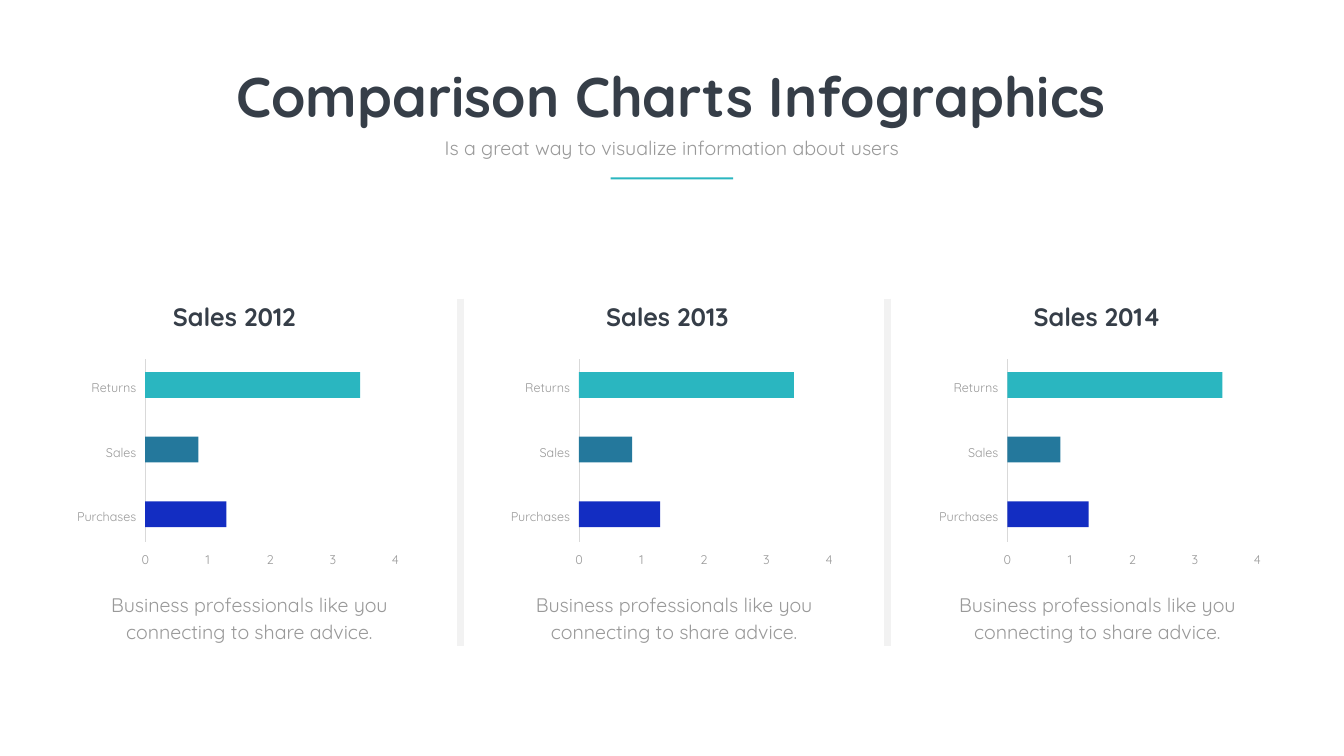
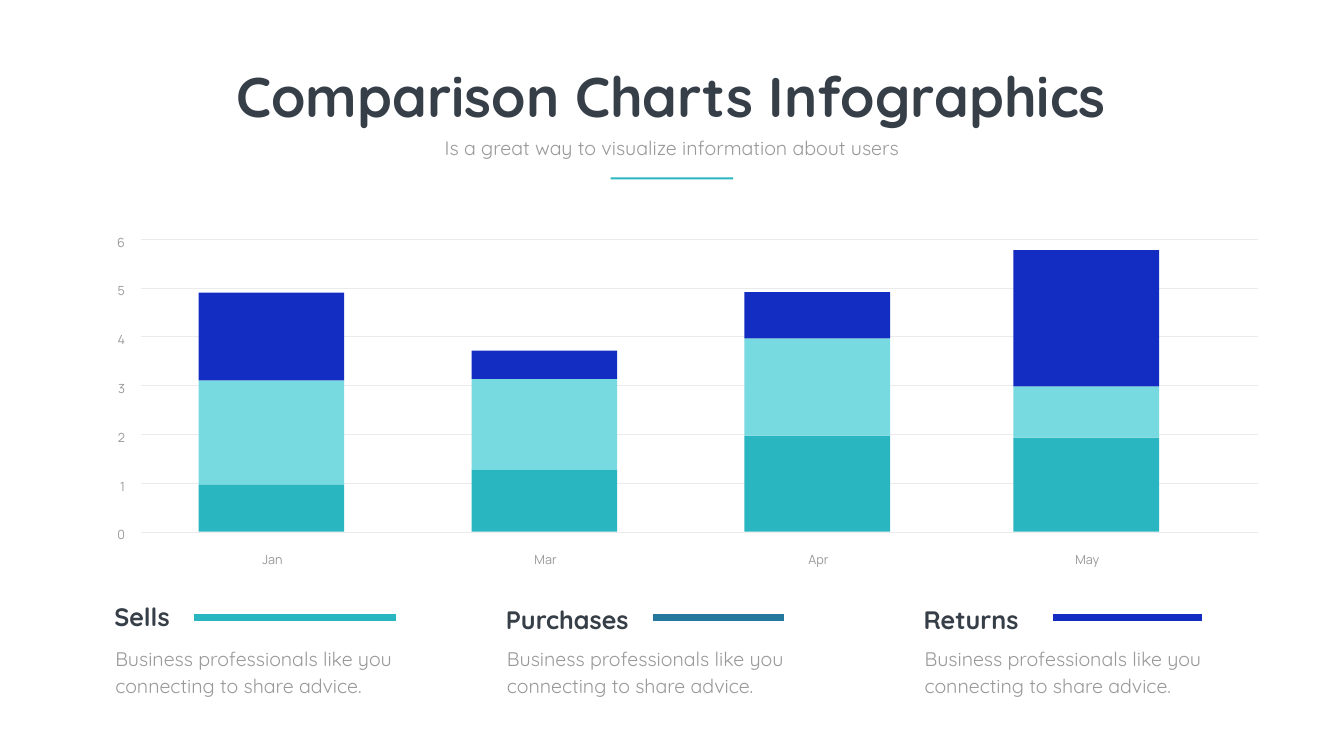
"""Build two comparison chart slides: yearly sales bars and monthly stacked columns."""
from itertools import accumulate

from lxml import etree
from pptx import Presentation
from pptx import util as u
from pptx.dml.color import RGBColor
from pptx.enum import shapes, text
from pptx.oxml import ns


class Theme:
    ink = "363E48"
    grey = "999999"
    teal = "2AB6C0"
    aqua = "77DAE1"
    steel = "24789C"
    blue = "132DC2"
    divider = "F2F2F2"
    axis = "D9D9D9"
    grid = "EBEBEB"
    font = "Quicksand"
    number_font = "Manrope"
    title_size = 80
    heading_size = 36
    body_size = 28
    label_size = 18
    body_spacing = 38.6
    number_spacing = 35.6


LEFT, CENTER, RIGHT = text.PP_ALIGN.LEFT, text.PP_ALIGN.CENTER, text.PP_ALIGN.RIGHT
BODY = "Business professionals like you connecting to share advice."


def add_text(slide, words, left, top, width, height, *, size=Theme.label_size,
             color=Theme.grey, font=Theme.font, bold=False, align=LEFT,
             spacing=None, wrap=True):
    shape = slide.shapes.add_textbox(u.Cm(left), u.Cm(top), u.Cm(width), u.Cm(height))
    frame = shape.text_frame
    frame.word_wrap = wrap
    frame.auto_size = text.MSO_AUTO_SIZE.SHAPE_TO_FIT_TEXT
    paragraph = frame.paragraphs[0]
    paragraph.alignment = align
    if spacing:
        paragraph.line_spacing = u.Pt(spacing)
    run = paragraph.add_run()
    run.text = words
    run.font.name = font
    run.font.size = u.Pt(size)
    run.font.bold = bold
    run.font.color.rgb = RGBColor.from_string(color)


def add_line(slide, x1, y1, x2, y2, color, width):
    line = slide.shapes.add_connector(
        shapes.MSO_CONNECTOR.STRAIGHT, u.Cm(x1), u.Cm(y1), u.Cm(x2), u.Cm(y2))
    line.line.color.rgb = RGBColor.from_string(color)
    line.line.width = u.Pt(width)
    etree.SubElement(line._element.spPr, ns.qn("a:effectLst"))


presentation = Presentation()
presentation.slide_width, presentation.slide_height = u.Cm(67.74), u.Cm(38.1)
blank = presentation.slide_layouts[6]
yearly = presentation.slides.add_slide(blank)
monthly = presentation.slides.add_slide(blank)
rectangles = []

for slide in (yearly, monthly):
    add_text(slide, "Comparison Charts Infographics", 11.35, 2.97, 44.98, 3.68,
             size=Theme.title_size, color=Theme.ink, bold=True, align=CENTER, wrap=False)
    add_text(slide, "Is a great way to visualize information about users",
             21.72, 6.73, 24.28, 1.45, size=Theme.body_size, align=CENTER)
    rectangles.append((slide, 30.78, 8.94, 6.17, 0.1, Theme.teal))

years = [("Sales 2012", 6.07, 4.55, 7.32),
         ("Sales 2013", 27.89, 25.96, 29.18),
         ("Sales 2014", 49.56, 47.29, 50.77)]
measures = [("Returns", 3.44, Theme.teal),
            ("Sales", 0.85, Theme.steel),
            ("Purchases", 1.3, Theme.blue)]
bar_unit, bar_top, bar_step = 3.15, 18.75, 3.26

for x in (23.22, 44.73):
    add_line(yearly, x, 15.06, x, 32.54, Theme.divider, 10)

for heading, heading_left, body_left, axis in years:
    add_text(yearly, heading, heading_left, 15.06, 11.48, 1.8,
             size=Theme.heading_size, color=Theme.ink, bold=True, align=CENTER)
    add_text(yearly, BODY, body_left, 29.57, 16.03, 3, size=Theme.body_size,
             align=CENTER, spacing=Theme.body_spacing)
    add_line(yearly, axis, 18.11, axis, 27.33, Theme.axis, 1)
    for tick in range(5):
        add_text(yearly, str(tick), axis - 0.53 + tick * bar_unit, 27.69, 1.07, 0.66,
                 align=CENTER)
    for row, (name, value, color) in enumerate(measures):
        top = bar_top + row * bar_step
        add_text(yearly, name, axis - 4.06, top + 0.27, 3.86, 1.02, align=RIGHT)
        rectangles.append((yearly, axis, top, value * bar_unit, 1.3, color))

base, column_unit, column_width = 26.8, 2.46, 7.34
number_format = dict(font=Theme.number_font, spacing=Theme.number_spacing)

for tick in range(7):
    y = base - tick * column_unit
    add_line(monthly, 7.09, y, 63.4, y, Theme.grid, 0.5)
    add_text(monthly, str(tick), 3.71, y - 0.84, 2.84, 1.42, align=RIGHT, **number_format)

months = [("Jan", 10.01, (0.97, 2.13, 1.8)),
          ("Mar", 23.77, (1.27, 1.86, 0.58)),
          ("Apr", 37.52, (1.97, 1.99, 0.95)),
          ("May", 51.08, (1.93, 1.05, 2.79))]
for month, left, values in months:
    add_text(monthly, month, left + 0.4, 27.18, 6.65, 1.42, align=CENTER, **number_format)
    for value, total, color in zip(values, accumulate(values),
                                   (Theme.teal, Theme.aqua, Theme.blue)):
        rectangles.append((monthly, left, base - total * column_unit, column_width,
                           value * column_unit, color))

legend = [("Sells", 5.51, 30.2, 17.35, 9.78, 19.94, Theme.teal),
          ("Purchases", 25.25, 30.35, 17.35, 32.89, 39.5, Theme.steel),
          ("Returns", 46.3, 30.33, 15.88, 53.09, 60.58, Theme.blue)]
for name, left, top, body_width, key_start, key_end, color in legend:
    add_text(monthly, name, left, top, 12.14, 1.8, size=Theme.heading_size,
             color=Theme.ink, bold=True)
    add_text(monthly, BODY, left + 0.05, 32.28, body_width, 3,
             size=Theme.body_size, spacing=Theme.body_spacing)
    add_line(monthly, key_start, 31.14, key_end, 31.14, color, 10)

for slide, left, top, width, height, color in rectangles:
    shape = slide.shapes.add_shape(shapes.MSO_SHAPE.RECTANGLE, u.Cm(left), u.Cm(top),
                                   u.Cm(width), u.Cm(height))
    shape.shadow.inherit = False
    shape.fill.solid()
    shape.fill.fore_color.rgb = RGBColor.from_string(color)
    shape.line.fill.background()

presentation.save("out.pptx")
